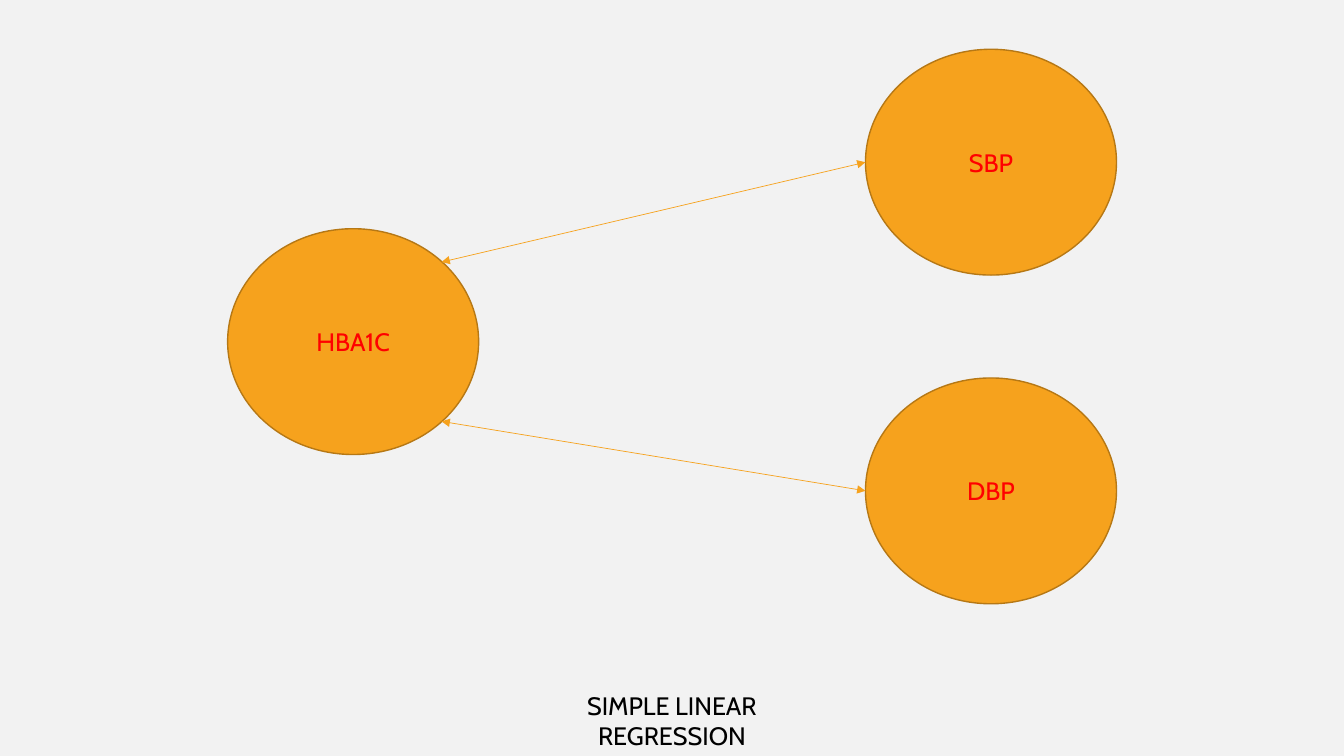
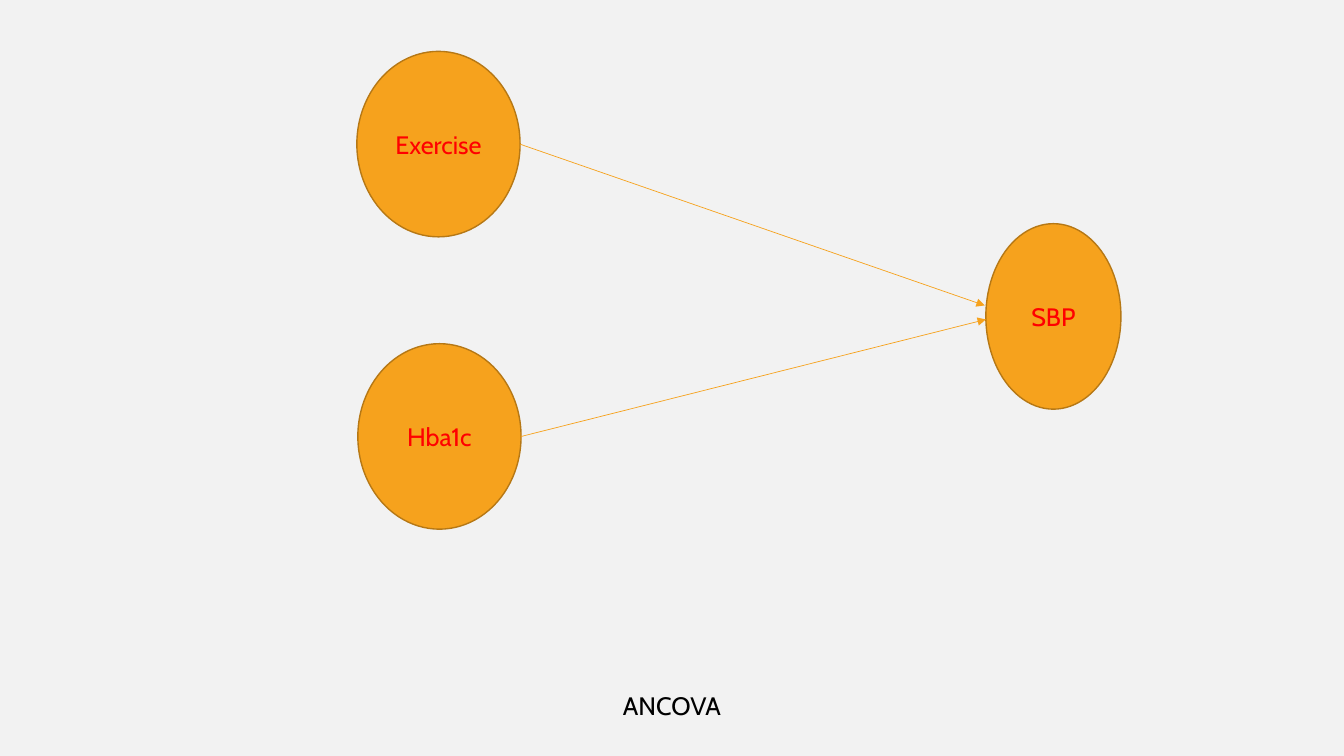
"""Build two path diagrams: simple linear regression and ANCOVA."""
from lxml.etree import SubElement
from pptx import Presentation
from pptx.dml.color import RGBColor
from pptx.enum.shapes import MSO_CONNECTOR as CONN, MSO_SHAPE as SHAPE
from pptx.enum.text import MSO_ANCHOR as ANCHOR, PP_ALIGN as ALIGN
from pptx.oxml.ns import qn
from pptx.util import Pt

COLORS = {"back": "F2F2F2", "node": "F6A21D", "edge": "B67815",
          "label": "FF0000", "caption": "000000"}
FONT = {"name": "Cabin", "size": Pt(18)}
SLIDE_W, SLIDE_H = 960, 540
CAPTION_TOP, CAPTION_H = 489.6, 29


def rgb(key):
    return RGBColor.from_string(COLORS[key])


def write(tf, text, color):
    p = tf.paragraphs[0]
    p.alignment = ALIGN.CENTER
    r = p.add_run()
    r.text = text
    for name, value in FONT.items():
        setattr(r.font, name, value)
    r.font.color.rgb = rgb(color)


def add_slide(prs):
    s = prs.slides.add_slide(prs.slide_layouts[6])
    s.background.fill.solid()
    s.background.fill.fore_color.rgb = rgb("back")
    return s


def add_node(s, text, x, y, w, h):
    sp = s.shapes.add_shape(SHAPE.OVAL, Pt(x), Pt(y), Pt(w), Pt(h))
    sp.shadow.inherit = False
    sp.fill.solid()
    sp.fill.fore_color.rgb = rgb("node")
    sp.line.color.rgb = rgb("edge")
    sp.line.width = Pt(1)
    sp.text_frame.vertical_anchor = ANCHOR.MIDDLE
    write(sp.text_frame, text, "label")


def add_arrow(s, start, end, ends=("tailEnd",)):
    line = s.shapes.add_connector(CONN.STRAIGHT, *map(Pt, start + end))
    line.line.color.rgb = rgb("node")
    line.line.width = Pt(0.5)
    ln = line.line._get_or_add_ln()
    for tag in ends:
        SubElement(ln, qn(f"a:{tag}"), type="triangle")
    SubElement(line._element.spPr, qn("a:effectLst"))


def add_caption(s, text, w, margin=7.2):
    sp = s.shapes.add_textbox(Pt((SLIDE_W - w) / 2), Pt(CAPTION_TOP), Pt(w), Pt(CAPTION_H))
    tf = sp.text_frame
    tf.word_wrap = True
    tf.margin_left = tf.margin_right = Pt(margin)
    write(tf, text, "caption")


def build_regression(prs):
    s = add_slide(prs)
    for text, x, y in (("SBP", 618.2, 35.2), ("HBA1C", 162.6, 163.4), ("DBP", 618.2, 270)):
        add_node(s, text, x, y, 179.3, 161.3)
    for start, end in (((315.4, 187.2), (618.2, 115.9)), ((315.4, 301), (618.2, 350.6))):
        add_arrow(s, start, end, ("headEnd", "tailEnd"))
    add_caption(s, "SIMPLE LINEAR REGRESSION", 242.6, margin=48)


def build_ancova(prs):
    s = add_slide(prs)
    for text, x, y, w in (("SBP", 704.2, 159.8, 96.5), ("Hba1c", 255.6, 245.5, 116.6),
                          ("Exercise", 254.9, 36.7, 116.6)):
        add_node(s, text, x, y, w, 132.5)
    for start, end in (((371.5, 103), (703.4, 218.2)), ((372.2, 311.8), (704.2, 228.2))):
        add_arrow(s, start, end)
    add_caption(s, "ANCOVA", 89.3)


def main():
    prs = Presentation()
    prs.slide_width, prs.slide_height = Pt(SLIDE_W), Pt(SLIDE_H)
    build_regression(prs)
    build_ancova(prs)
    prs.save("out.pptx")


main()
